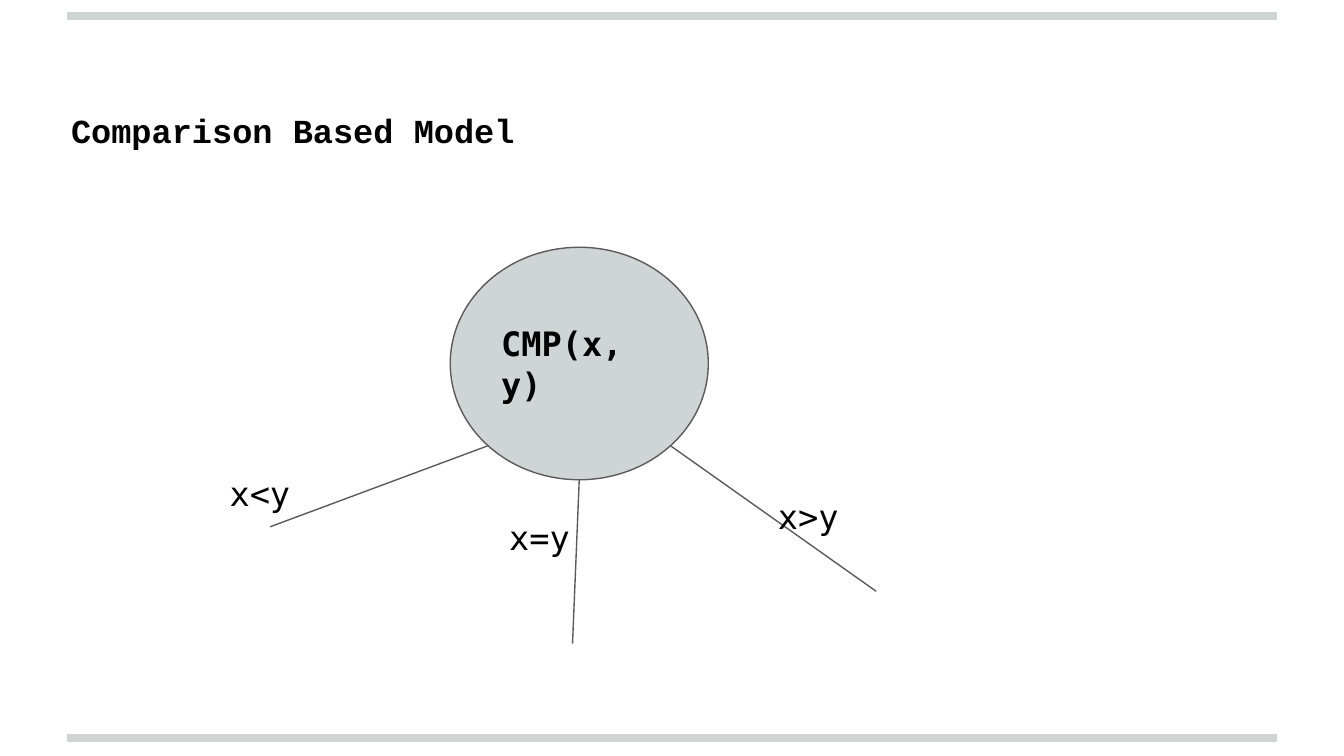
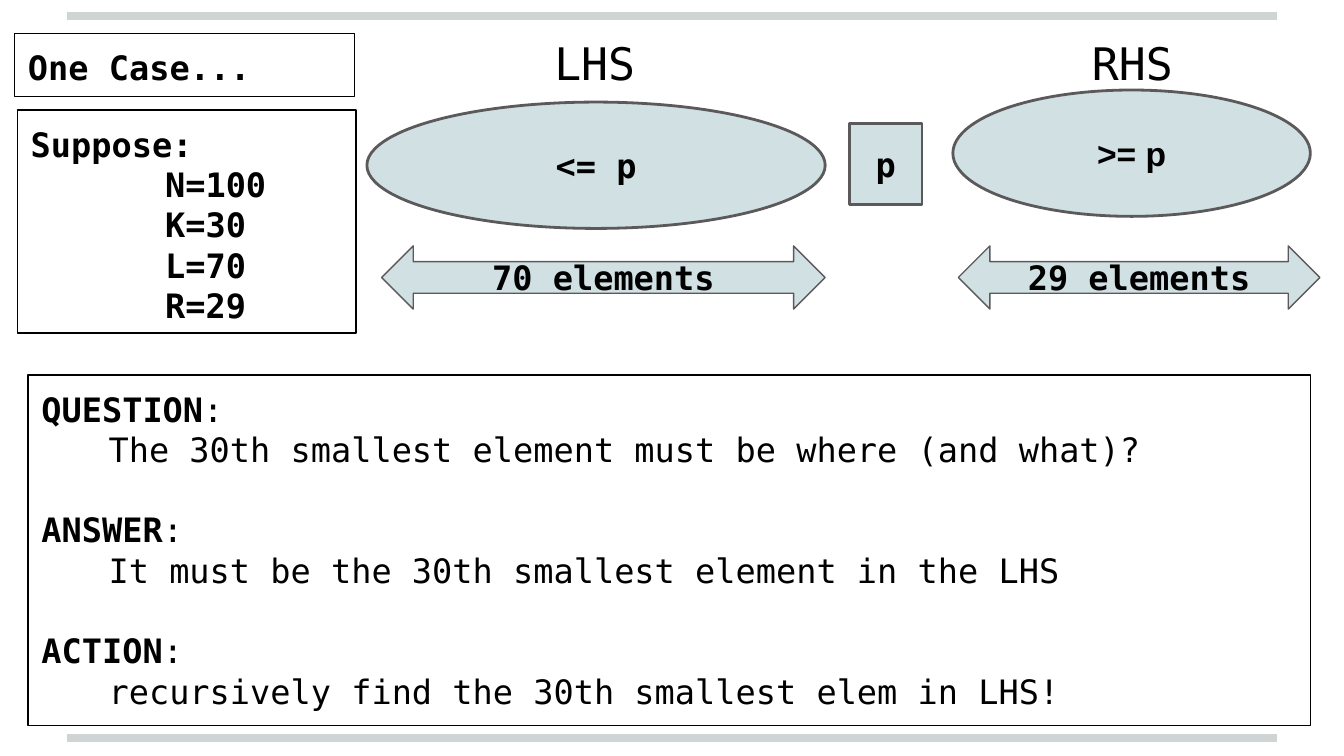
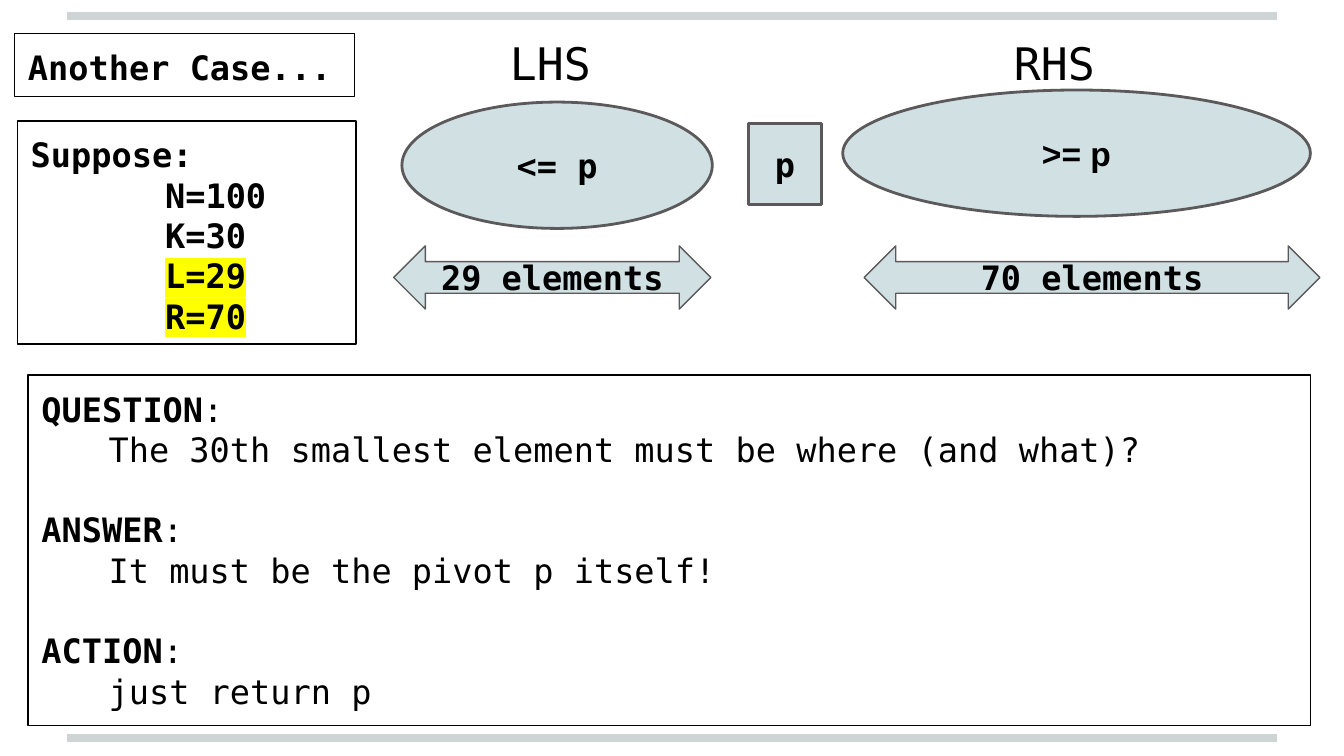
"""Three slides on the comparison model and the cases of quickselect."""
import math

from lxml import etree
from pptx import Presentation
from pptx.dml.color import RGBColor
from pptx.enum.shapes import MSO_CONNECTOR, MSO_SHAPE
from pptx.enum.text import MSO_ANCHOR, PP_ALIGN
from pptx.oxml.ns import qn
from pptx.util import Inches, Pt

LINE = MSO_CONNECTOR.STRAIGHT
OVAL, RECT, ARROW = MSO_SHAPE.OVAL, MSO_SHAPE.RECTANGLE, MSO_SHAPE.LEFT_RIGHT_ARROW
LEFT, CENTER = PP_ALIGN.LEFT, PP_ALIGN.CENTER
TOP, MIDDLE = MSO_ANCHOR.TOP, MSO_ANCHOR.MIDDLE

W = 10
H = W * 9 / 16
MONO, COURIER, ARIAL = "DejaVu Sans Mono", "Courier New", "Arial"
BLACK, GREY, EDGE, BLUE, YELLOW = "000000", "CFD4D4", "5B595A", "D0E0E3", "FFFF00"
BANDS = (5.49, 0.12)
MARGIN = 0.5
BLANK_LINE = 21.6

MODEL = {
    "title": "Comparison Based Model",
    "node": ("CMP(x, y)", 3.35, 1.84, 1.92, 1.73),
    "branches": [
        ("x<y", 135, (2.01, 3.92), (1.61, 3.42)),
        ("x=y", 90, (4.26, 4.79), (3.69, 3.75)),
        ("x>y", 45, (6.52, 4.4), (5.69, 3.59)),
    ],
}

CASES = [
    {
        "title": "One Case...",
        "suppose": ["N=100", "K=30", "L=70", "R=29"],
        "marked": [],
        "suppose_top": 0.82,
        "pivot_left": 6.32,
        "sides": [
            {"name": "LHS", "label": 3.68, "oval": (2.73, 3.41),
             "arrow": (2.84, 3.3), "count": "70 elements"},
            {"name": "RHS", "label": 7.68, "oval": (7.09, 2.66),
             "arrow": (7.13, 2.69), "count": "29 elements"},
        ],
        "answer": "It must be the 30th smallest element in the LHS",
        "action": "recursively find the 30th smallest elem in LHS!",
    },
    {
        "title": "Another Case...",
        "suppose": ["N=100", "K=30", "L=29", "R=70"],
        "marked": ["L=29", "R=70"],
        "suppose_top": 0.9,
        "pivot_left": 5.57,
        "sides": [
            {"name": "LHS", "label": 3.35, "oval": (2.99, 2.31),
             "arrow": (2.93, 2.36), "count": "29 elements"},
            {"name": "RHS", "label": 7.1, "oval": (6.27, 3.48),
             "arrow": (6.43, 3.39), "count": "70 elements"},
        ],
        "answer": "It must be the pivot p itself!",
        "action": "just return p",
    },
]
QUESTION = "The 30th smallest element must be where (and what)?"
SIDE_STYLE = {"LHS": ("<= p", MONO, 0.76), "RHS": (">= p", ARIAL, 0.67)}


def rgb(value):
    return RGBColor.from_string(value)


def add_run(p, text, font=MONO, size=18, bold=False, color=BLACK, mark=None):
    r = p.add_run()
    r.text = text
    r.font.name, r.font.size, r.font.bold = font, Pt(size), bold
    r.font.color.rgb = rgb(color)
    if mark:
        highlight = etree.Element(qn("a:highlight"))
        etree.SubElement(highlight, qn("a:srgbClr")).set("val", mark)
        r.font._element.find(qn("a:latin")).addprevious(highlight)


def write(sp, text, align=LEFT, anchor=TOP, **fmt):
    tf = sp.text_frame
    tf.word_wrap, tf.vertical_anchor = True, anchor
    tf.margin_left = tf.margin_right = tf.margin_top = tf.margin_bottom = Inches(0.1)
    paragraphs = [([(text, {})], 0, 0)] if isinstance(text, str) else text
    for i, (runs, indent, before) in enumerate(paragraphs):
        p = tf.add_paragraph() if i else tf.paragraphs[0]
        p.alignment, p.space_before = align, Pt(before)
        pPr = p._p.get_or_add_pPr()
        pPr.set("marL", str(Inches(indent)))
        pPr.set("indent", "0")
        for words, extra in runs:
            add_run(p, words, **{**fmt, **extra})


def add_box(s, x, y, w, h, text, **fmt):
    sp = s.shapes.add_textbox(Inches(x), Inches(y), Inches(w), Inches(h))
    write(sp, text, **fmt)


def add_shape(s, kind, x, y, w, h, text, fill=None, line=BLACK, width=0.75, **fmt):
    sp = s.shapes.add_shape(kind, Inches(x), Inches(y), Inches(w), Inches(h))
    sp.shadow.inherit = False
    if fill:
        sp.fill.solid()
        sp.fill.fore_color.rgb = rgb(fill)
    else:
        sp.fill.background()
    sp.line.color.rgb, sp.line.width = rgb(line), Pt(width)
    write(sp, text, **fmt)


def add_line(s, start, end, color=EDGE, width=0.75):
    c = s.shapes.add_connector(LINE, *(Inches(v) for v in (*start, *end)))
    c.line.color.rgb, c.line.width = rgb(color), Pt(width)
    etree.SubElement(c._element.spPr, qn("a:effectLst"))


def new_slide(prs):
    s = prs.slides.add_slide(prs.slide_layouts[6])
    s.background.fill.solid()
    s.background.fill.fore_color.rgb = rgb("FFFFFF")
    for y in BANDS:
        add_line(s, (MARGIN, y), (W - MARGIN, y), GREY, 4)
    return s


def model_slide(prs):
    s = new_slide(prs)
    add_box(s, 0.43, 0.72, 4.25, 0.92, MODEL["title"], font=COURIER, bold=True)
    text, x, y, w, h = MODEL["node"]
    add_shape(s, OVAL, x, y, w, h, text, fill=GREY, line=EDGE, anchor=MIDDLE, bold=True)
    for label, degrees, end, corner in MODEL["branches"]:
        a = math.radians(degrees)
        rim = (x + w / 2 * (1 + math.cos(a)), y + h / 2 * (1 + math.sin(a)))
        add_line(s, rim, end)
        add_box(s, *corner, 0.76, 0.33, label)


def case_slide(prs, case):
    s = new_slide(prs)
    blue = dict(fill=BLUE, line=EDGE, align=CENTER, anchor=MIDDLE, bold=True)
    add_shape(s, RECT, case["pivot_left"], 0.92, 0.54, 0.6, "p", width=1.5, **blue)
    for side in case["sides"]:
        text, font, top = SIDE_STYLE[side["name"]]
        x, w = side["oval"]
        add_shape(s, OVAL, x, top, w, 0.94, text, width=1.5, font=font, **blue)
        x, w = side["arrow"]
        add_shape(s, ARROW, x, 1.83, w, 0.47, side["count"], **blue)
        add_box(s, side["label"], 0.23, 1.49, 0.47, side["name"],
                align=CENTER, anchor=MIDDLE, size=24)

    suppose = [([("Suppose:", {})], 0, 0)]
    for item in case["suppose"]:
        mark = YELLOW if item in case["marked"] else None
        suppose.append(([(item, {"mark": mark})], 1, 0))
    add_shape(s, RECT, 0.13, case["suppose_top"], 2.52, 1.66, suppose, bold=True)

    steps = []
    for head, body in (("QUESTION", QUESTION), ("ANSWER", case["answer"]),
                       ("ACTION", case["action"])):
        gap = BLANK_LINE if steps else 0
        steps.append(([(head, {"bold": True}), (":", {})], 0, gap))
        steps.append(([(body, {})], 0.5, 0))
    add_shape(s, RECT, 0.21, 2.79, 9.54, 2.61, steps)
    add_shape(s, RECT, 0.11, 0.25, 2.53, 0.47, case["title"], bold=True)


def main():
    prs = Presentation()
    prs.slide_width, prs.slide_height = Inches(W), Inches(H)
    model_slide(prs)
    for case in CASES:
        case_slide(prs, case)
    prs.save("out.pptx")


if __name__ == "__main__":
    main()
